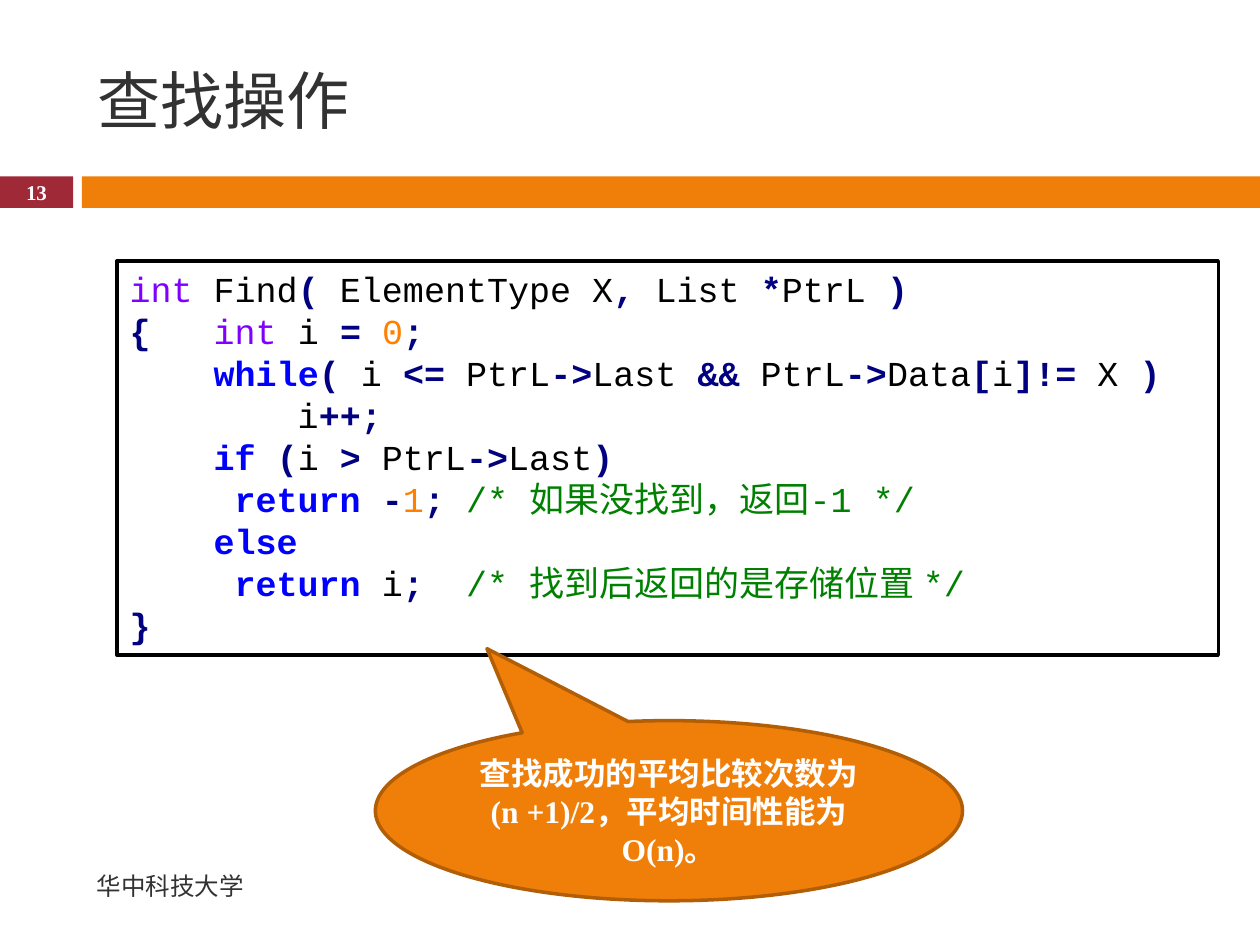
from dataclasses import dataclass
from itertools import groupby
from typing import Iterator, NamedTuple

from pptx import Presentation
from pptx.dml.color import RGBColor
from pptx.enum.shapes import MSO_SHAPE
from pptx.enum.text import MSO_ANCHOR, PP_ALIGN
from pptx.util import Inches, Pt

RECTANGLE = MSO_SHAPE.RECTANGLE
CALLOUT = MSO_SHAPE.OVAL_CALLOUT
LEFT, CENTER = PP_ALIGN.LEFT, PP_ALIGN.CENTER
TOP, MIDDLE = MSO_ANCHOR.TOP, MSO_ANCHOR.MIDDLE


@dataclass(frozen=True)
class Theme:
    orange: str = "F07F09"
    dark_orange: str = "B25E07"
    red: str = "9F2936"
    ink: str = "323232"
    white: str = "FFFFFF"
    black: str = "000000"
    type_name: str = "8000FF"
    keyword: str = "0000FF"
    operator: str = "000080"
    number: str = "FF8000"
    comment: str = "008000"
    body_font: str = "Times New Roman"
    code_font: str = "Courier New"
    title_size: float = 36
    code_size: float = 20
    callout_size: float = 18
    footer_size: float = 14
    number_size: float = 12


THEME = Theme()


class Box(NamedTuple):
    left: float
    top: float
    width: float
    height: float

    def lengths(self) -> list:
        return [Inches(value) for value in self]


class Token(NamedTuple):
    text: str
    color: str
    bold: bool = False


BARS = [
    (Box(0, 1.4, 0.58, 0.25), THEME.red),
    (Box(0.65, 1.4, 9.35, 0.25), THEME.orange),
]
KEYWORDS = {"while", "if", "else", "return"}
CODE = [
    "int Find( ElementType X, List *PtrL )",
    "{   int i = 0;",
    "    while( i <= PtrL->Last && PtrL->Data[i]!= X )",
    "        i++;",
    "    if (i > PtrL->Last)",
    "\t  return -1; /* 如果没找到，返回-1 */",
    "    else",
    "\t  return i;  /* 找到后返回的是存储位置 */",
    "}",
]


def character_class(character: str) -> str:
    if character.isspace():
        return "space"
    return "word" if character.isalnum() else "operator"


def highlight(line: str) -> Iterator[Token]:
    """Split a line of C into coloured tokens."""
    code, mark, comment = line.partition("/*")
    for kind, characters in groupby(code, character_class):
        text = "".join(characters)
        if kind == "operator":
            yield Token(text, THEME.operator, True)
        elif text in KEYWORDS:
            yield Token(text, THEME.keyword, True)
        elif text == "int":
            yield Token(text, THEME.type_name)
        elif text.isdigit():
            yield Token(text, THEME.number)
        else:
            yield Token(text, THEME.black)
    if mark:
        yield Token(mark + comment, THEME.comment)


def write_lines(shape, lines, *, size: float, font: str = THEME.body_font,
                align=LEFT, anchor=MIDDLE) -> None:
    """Fill a shape with one paragraph for each list of tokens."""
    frame = shape.text_frame
    frame.word_wrap = True
    frame.vertical_anchor = anchor
    for index, tokens in enumerate(lines):
        paragraph = frame.add_paragraph() if index else frame.paragraphs[0]
        paragraph.alignment = align
        for token in tokens:
            run = paragraph.add_run()
            run.text = token.text
            run.font.name = font
            run.font.size = Pt(size)
            run.font.bold = token.bold
            run.font.color.rgb = RGBColor.from_string(token.color)


def write_text(shape, text: str, *, color: str, bold: bool = False, **options) -> None:
    write_lines(shape, [[Token(text, color, bold)]], **options)


def add_panel(slide, kind, box: Box, fill: str, line: str | None = None):
    shape = slide.shapes.add_shape(kind, *box.lengths())
    shape.shadow.inherit = False
    shape.fill.solid()
    shape.fill.fore_color.rgb = RGBColor.from_string(fill)
    if line:
        shape.line.color.rgb = RGBColor.from_string(line)
        shape.line.width = Pt(2)
    else:
        shape.line.fill.background()
    return shape


def add_label(slide, box: Box, text: str, **options) -> None:
    write_text(slide.shapes.add_textbox(*box.lengths()), text, **options)


def main() -> None:
    presentation = Presentation()
    presentation.slide_width, presentation.slide_height = Inches(10), Inches(7.5)
    slide = presentation.slides.add_slide(presentation.slide_layouts[5])

    for box, color in BARS:
        add_panel(slide, RECTANGLE, box, color)

    title = slide.shapes.title
    title.left, title.top, title.width, title.height = Box(0.67, 0.25, 8.92, 1.08).lengths()
    write_text(title, "查找操作", color=THEME.ink, size=THEME.title_size)

    add_label(slide, Box(0.67, 6.83, 5.93, 0.4), "华中科技大学",
              color=THEME.ink, size=THEME.footer_size)
    add_label(slide, Box(0, 1.39, 0.58, 0.27), "13", color=THEME.white,
              bold=True, size=THEME.number_size, align=CENTER)

    listing = add_panel(slide, RECTANGLE, Box(0.93, 2.07, 8.74, 3.13),
                        THEME.white, THEME.black)
    write_lines(listing, map(highlight, CODE), size=THEME.code_size,
                font=THEME.code_font, anchor=TOP)

    callout = add_panel(slide, CALLOUT, Box(2.98, 5.72, 4.66, 1.43),
                        THEME.orange, THEME.dark_orange)
    callout.adjustments[0] = -0.31
    callout.adjustments[1] = -0.9
    write_text(callout, "查找成功的平均比较次数为(n +1)/2，平均时间性能为 O(n)。",
               color=THEME.white, bold=True, size=THEME.callout_size, align=CENTER)

    presentation.save("out.pptx")


if __name__ == "__main__":
    main()
